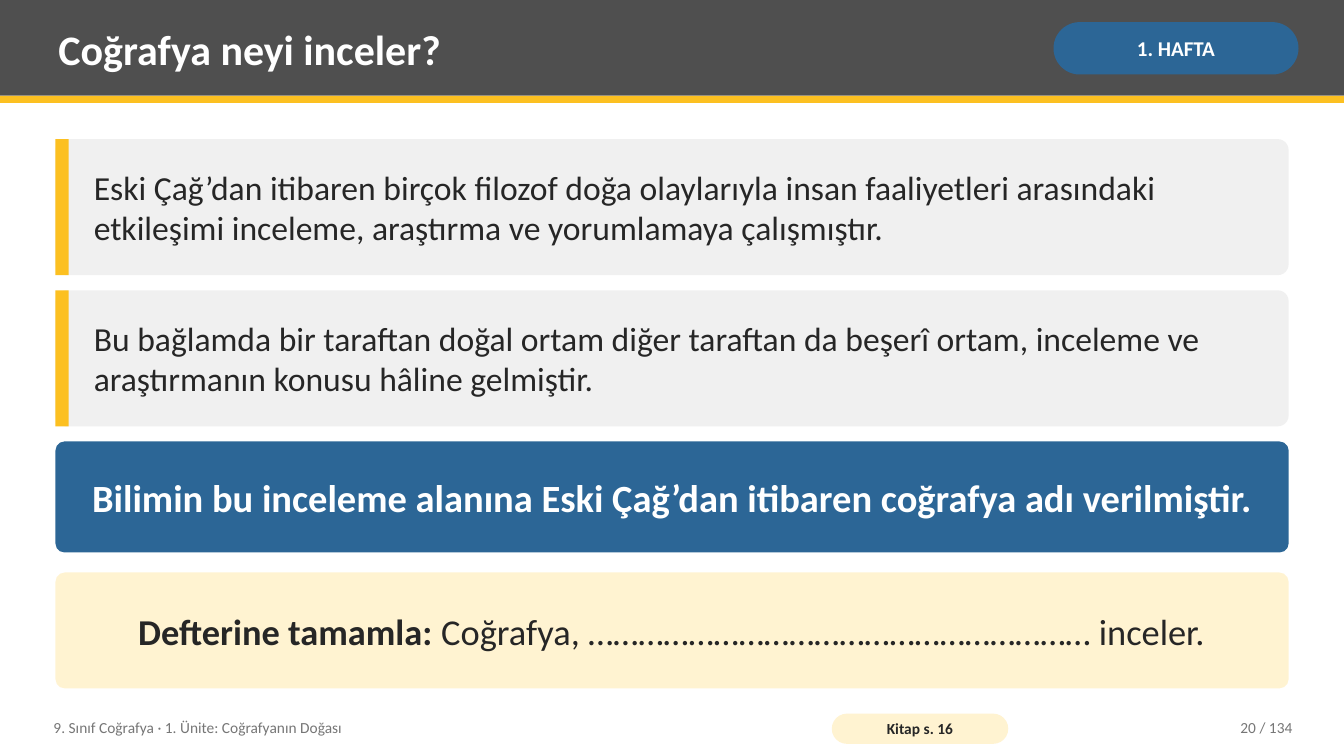
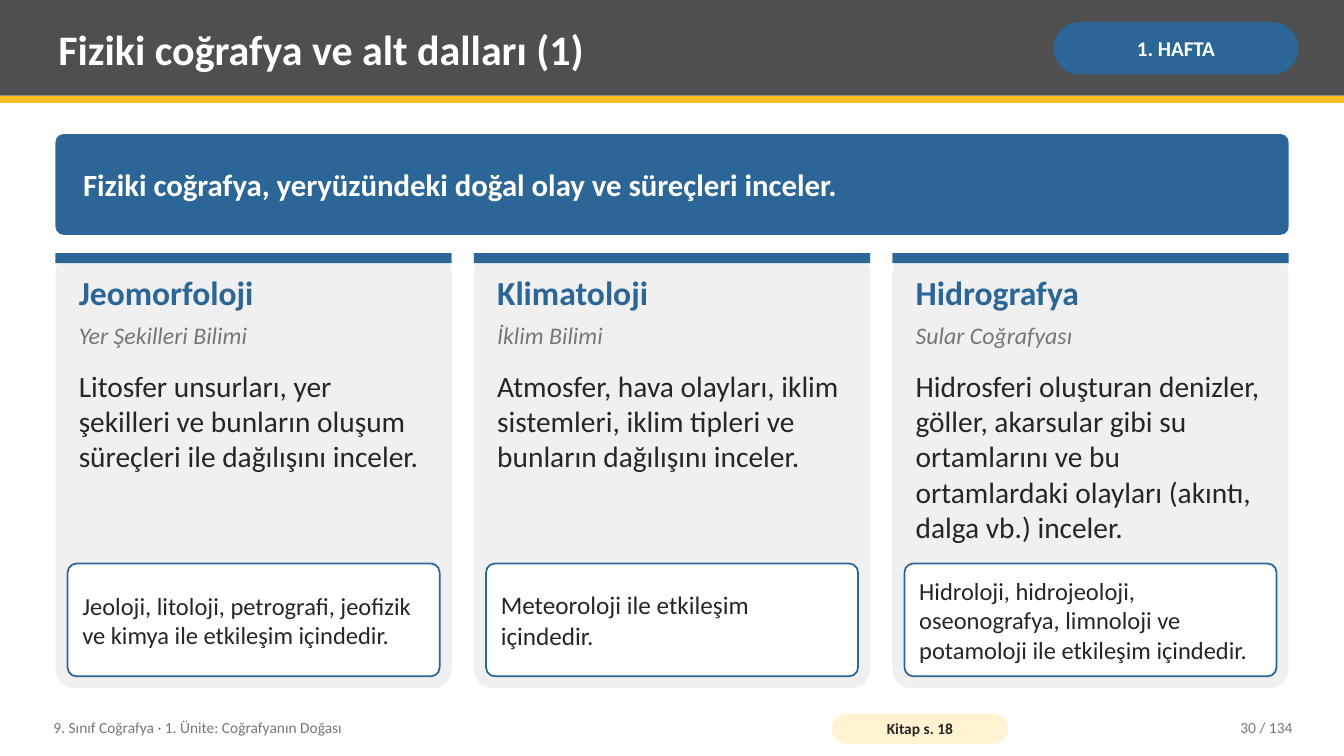
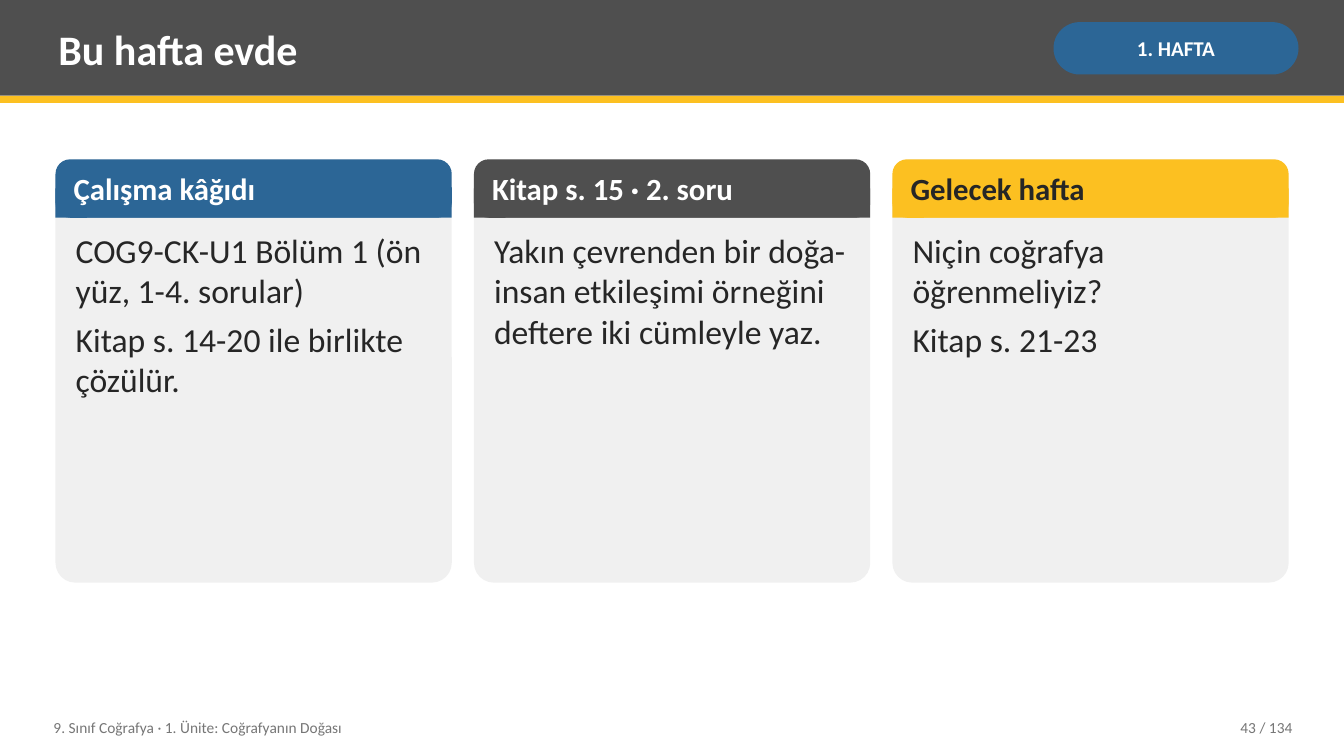
from pptx import Presentation
from pptx import util as u
from pptx.dml import color
from pptx.enum import shapes, text

RECT = shapes.MSO_SHAPE.RECTANGLE
ROUND = shapes.MSO_SHAPE.ROUNDED_RECTANGLE
LEFT, CENTER, RIGHT = text.PP_ALIGN.LEFT, text.PP_ALIGN.CENTER, text.PP_ALIGN.RIGHT
TOP, MIDDLE = text.MSO_ANCHOR.TOP, text.MSO_ANCHOR.MIDDLE

GRAY, YELLOW, BLUE = "4F4F4F", "FCC021", "2C6696"
PANEL, CREAM, WHITE = "F0F0F0", "FFF3D1", "FFFFFF"
INK, MUTED = "262626", "767676"

# Places and sizes are percentages of the slide's width and height.
MARGIN, CONTENT, GAP = 4.13, 91.75, 1.65
COLUMN = (CONTENT - 2 * GAP) / 3
TEXT_INSET = (0.08, 0.04)


def rgb(code):
    return color.RGBColor.from_string(code)


class Lesson:
    font = "Calibri"
    unit = "9. Sınıf Coğrafya · 1. Ünite: Coğrafyanın Doğası"
    week = "1. HAFTA"
    total = 134

    def __init__(self):
        self.deck = Presentation()
        self.deck.slide_width = u.Inches(13.33)
        self.deck.slide_height = u.Inches(7.5)
        self.page = None

    def area(self, left, top, width, height):
        """Turn percentages of the slide into lengths."""
        across, down = self.deck.slide_width / 100, self.deck.slide_height / 100
        return [u.Emu(round(n)) for n in
                (left * across, top * down, width * across, height * down)]

    def put_text(self, box, paragraphs, size, ink=INK, bold=False, italic=False,
                 align=LEFT, anchor=MIDDLE, inset=TEXT_INSET):
        """Fill a box; a paragraph is a string or a list of (words, bold) spans."""
        frame = box.text_frame
        frame.word_wrap = True
        frame.auto_size = text.MSO_AUTO_SIZE.NONE
        frame.vertical_anchor = anchor
        frame.margin_left = frame.margin_right = u.Inches(inset[0])
        frame.margin_top = frame.margin_bottom = u.Inches(inset[1])
        for index, content in enumerate(paragraphs):
            para = frame.add_paragraph() if index else frame.paragraphs[0]
            para.alignment = align
            if index < len(paragraphs) - 1:
                para.space_after = u.Pt(6)
            spans = [(content, bold)] if isinstance(content, str) else content
            for words, heavy in spans:
                span = para.add_run()
                span.text = words
                span.font.name = self.font
                span.font.size = u.Pt(size)
                span.font.bold = heavy
                span.font.italic = italic
                span.font.color.rgb = rgb(ink)

    def block(self, place, fill, radius=0, line=None):
        box = self.page.shapes.add_shape(ROUND if radius else RECT, *self.area(*place))
        box.shadow.inherit = False
        if radius:
            box.adjustments[0] = radius
        box.fill.solid()
        box.fill.fore_color.rgb = rgb(fill)
        if line:
            box.line.color.rgb = rgb(line)
            box.line.width = u.Pt(1.25)
        else:
            box.line.fill.background()
        return box

    def label(self, place, paragraphs, size, **style):
        box = self.page.shapes.add_textbox(*self.area(*place))
        self.put_text(box, paragraphs, size, **style)

    def panel(self, top, height, fill, paragraphs, size, inset=0.14, **style):
        """Full-width rounded block with text."""
        box = self.block((MARGIN, top, CONTENT, height), fill, 0.08)
        self.put_text(box, paragraphs, size, inset=(inset, 0.08), **style)

    def start(self, title, number, book=None):
        """Begin a slide with its header and footer."""
        self.page = self.deck.slides.add_slide(self.deck.slide_layouts[5])
        heading = self.page.shapes.title
        for top, height, fill in ((0, 12.67, GRAY), (12.67, 0.93, YELLOW)):
            band = self.block((0, top, 100, height), fill)
            heading.element.addprevious(band.element)
        heading.left, heading.top, heading.width, heading.height = self.area(
            3.75, 0.93, 73.14, 10.93)
        self.put_text(heading, [title], 30, WHITE, bold=True)
        badge = self.block((78.39, 2.93, 18.23, 6.93), BLUE, 0.5)
        self.put_text(badge, [self.week], 15, WHITE, bold=True, align=CENTER,
                      inset=(0.05, 0.02))
        self.label((3.38, 93.87, 57.01, 4.8), [self.unit], 11, ink=MUTED)
        if book:
            pill = self.block((61.89, 94.4, 13.13, 4), CREAM, 0.5)
            self.put_text(pill, [f"Kitap s. {book}"], 11, bold=True, align=CENTER,
                          inset=(0.04, 0))
        self.label((84.77, 93.87, 12, 4.8), [f"{number} / {self.total}"], 11,
                   ink=MUTED, align=RIGHT)

    def statement(self, top, words):
        """Gray panel with a yellow edge."""
        height = 18
        self.block((MARGIN, top, CONTENT, height), PANEL, 0.08)
        self.block((MARGIN, top, 0.98, height), YELLOW)
        self.label((MARGIN + 2.25, top, 88.37, height), [words], 24)

    def column(self, index):
        return MARGIN + index * (COLUMN + GAP)

    def branch(self, index, name, meaning, scope, related, size):
        """Column card for one branch of geography."""
        left, top = self.column(index), 33.47
        inner, width = left + 1.13, COLUMN - 2.25
        self.block((left, top, COLUMN, 57.6), PANEL, 0.05)
        self.block((left, top, COLUMN, 1.33), BLUE)
        self.label((inner, top + 2, width, 7.33), [name], 24, ink=BLUE, bold=True,
                   anchor=TOP)
        self.label((inner, top + 8.4, width, 5.6), [meaning], 17, ink=MUTED,
                   italic=True, anchor=TOP)
        self.label((inner, top + 14.67, width, 25.6), [scope], 21, anchor=TOP)
        note = self.block((left + 0.9, top + 41.07, COLUMN - 1.8, 14.93), WHITE,
                          0.08, line=BLUE)
        self.put_text(note, [related], size, inset=(0.12, 0.08))

    def task(self, index, heading, fill, ink, paragraphs):
        """Column card with a coloured heading."""
        left, top, head = self.column(index), 21.07, 7.73
        self.block((left, top, COLUMN, 56), PANEL, 0.05)
        self.block((left, top, COLUMN, head), fill, 0.25)
        self.block((left, top + head / 2, COLUMN, head / 2), fill)
        self.label((left + 0.75, top, COLUMN - 1.5, head), [heading], 22, ink=ink,
                   bold=True)
        self.label((left + 0.9, top + 8.8, COLUMN - 1.8, 46.13), paragraphs, 24,
                   anchor=TOP)


BRANCHES = [
    ("Jeomorfoloji", "Yer Şekilleri Bilimi",
     "Litosfer unsurları, yer şekilleri ve bunların oluşum süreçleri ile "
     "dağılışını inceler.",
     "Jeoloji, litoloji, petrografi, jeofizik ve kimya ile etkileşim içindedir.", 17.5),
    ("Klimatoloji", "İklim Bilimi",
     "Atmosfer, hava olayları, iklim sistemleri, iklim tipleri ve bunların "
     "dağılışını inceler.",
     "Meteoroloji ile etkileşim içindedir.", 18),
    ("Hidrografya", "Sular Coğrafyası",
     "Hidrosferi oluşturan denizler, göller, akarsular gibi su ortamlarını ve bu "
     "ortamlardaki olayları (akıntı, dalga vb.) inceler.",
     "Hidroloji, hidrojeoloji, oseonografya, limnoloji ve potamoloji ile etkileşim "
     "içindedir.", 17.5),
]

TASKS = [
    ("Çalışma kâğıdı", BLUE, WHITE,
     ["COG9-CK-U1 Bölüm 1 (ön yüz, 1-4. sorular)",
      "Kitap s. 14-20 ile birlikte çözülür."]),
    ("Kitap s. 15 · 2. soru", GRAY, WHITE,
     ["Yakın çevrenden bir doğa-insan etkileşimi örneğini deftere iki cümleyle yaz."]),
    ("Gelecek hafta", YELLOW, INK,
     ["Niçin coğrafya öğrenmeliyiz?", "Kitap s. 21-23"]),
]


def main():
    lesson = Lesson()

    lesson.start("Coğrafya neyi inceler?", 20, book=16)
    lesson.statement(18.4, "Eski Çağ’dan itibaren birçok filozof doğa olaylarıyla insan "
                     "faaliyetleri arasındaki etkileşimi inceleme, araştırma ve "
                     "yorumlamaya çalışmıştır.")
    lesson.statement(38.4, "Bu bağlamda bir taraftan doğal ortam diğer taraftan da beşerî "
                     "ortam, inceleme ve araştırmanın konusu hâline gelmiştir.")
    lesson.panel(58.4, 14.67, BLUE,
                 ["Bilimin bu inceleme alanına Eski Çağ’dan itibaren coğrafya adı "
                  "verilmiştir."], 27.5, ink=WHITE, bold=True, align=CENTER)
    lesson.panel(75.73, 15.33, CREAM,
                 [[("Defterine tamamla:", True),
                   (" Coğrafya, …………………………………………………… inceler.", False)]],
                 26, align=CENTER)

    lesson.start("Fiziki coğrafya ve alt dalları (1)", 30, book=18)
    lesson.panel(17.73, 13.33, BLUE,
                 ["Fiziki coğrafya, yeryüzündeki doğal olay ve süreçleri inceler."],
                 22, inset=0.25, ink=WHITE, bold=True)
    for index, branch in enumerate(BRANCHES):
        lesson.branch(index, *branch)

    lesson.start("Bu hafta evde", 43)
    for index, task in enumerate(TASKS):
        lesson.task(index, *task)

    lesson.deck.save("out.pptx")


if __name__ == "__main__":
    main()
